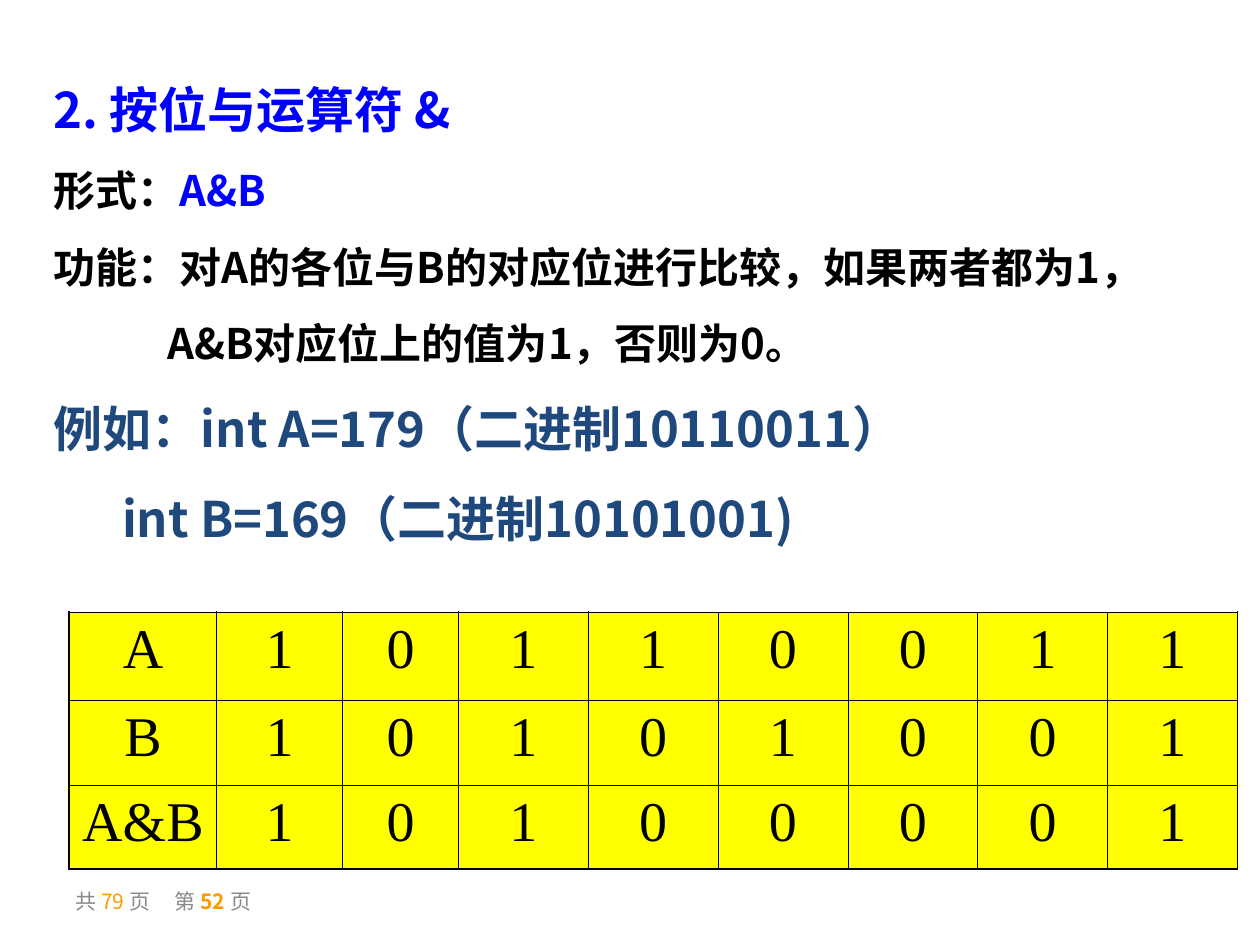
from lxml.etree import SubElement
from pptx import Presentation
from pptx.dml.color import RGBColor
from pptx.enum.text import MSO_ANCHOR, MSO_AUTO_SIZE, PP_ALIGN
from pptx.oxml.ns import qn
from pptx.util import Inches, Pt

COLORS = {
    "heading": "0000FF",
    "body": "000000",
    "example": "1F497D",
    "cell": "FFFF00",
    "border": "000000",
    "footer": "898989",
    "number": "FF9900",
}
JP, SC, TIMES = "Noto Sans CJK JP", "Noto Sans CJK SC", "Times New Roman"


def rgb(key):
    return RGBColor.from_string(COLORS[key])


def style_paragraph(paragraph, face, size, color, bold=False):
    font = paragraph.font
    font.name, font.size, font.bold = face, Pt(size), bold
    font.color.rgb = rgb(color)
    defaults = paragraph._p.pPr.find(qn("a:defRPr"))
    SubElement(defaults, qn("a:ea"), typeface=face)


def add_runs(paragraph, parts):
    for words, color in parts:
        run = paragraph.add_run()
        run.text = words
        if color:
            run.font.color.rgb = rgb(color)
        yield run


def add_explanation(slide, left, top, width, height):
    frame = slide.shapes.add_textbox(left, top, width, height).text_frame
    frame.word_wrap = True
    frame.auto_size = MSO_AUTO_SIZE.SHAPE_TO_FIT_TEXT
    lines = [
        ([("2. 按位与运算符 &", None)], JP, 28, "heading", 0, 0),
        ([("形式：", None), ("A&B", "heading")], JP, 24, "body", 15, 0),
        ([("功能：对A的各位与B的对应位进行比较，如果两者都为1，", None)], JP, 24, "body", 15, 0),
        ([("A&B对应位上的值为1，否则为0。", None)], JP, 24, "body", 15, 0.9),
        ([("例如：int A=179（二进制10110011）", None)], SC, 28, "example", 17.5, 0),
        ([("int B=169（二进制10101001)", None)], SC, 28, "example", 17.5, 0.54),
    ]
    for index, (parts, face, size, color, before, indent) in enumerate(lines):
        line = frame.add_paragraph() if index else frame.paragraphs[0]
        line.space_before = Pt(before)
        line._p.get_or_add_pPr().set("marL", str(Inches(indent)))
        style_paragraph(line, face, size, color, bold=True)
        list(add_runs(line, parts))


def set_borders(cell, widths):
    properties = cell._tc.get_or_add_tcPr()
    for side, width in widths.items():
        line = SubElement(properties, qn(f"a:ln{side}"), w=str(Pt(width)))
        fill = SubElement(line, qn("a:solidFill"))
        SubElement(fill, qn("a:srgbClr"), val=COLORS["border"])


def add_bit_table(slide, left, top, width, height):
    labels = ["A", "B", "A&B"]
    operands = [179, 169]
    values = operands + [operands[0] & operands[1]]
    rows = [[label, *f"{value:08b}"] for label, value in zip(labels, values)]
    column_widths = [1.17, 1, 0.92] + [1.03] * 6
    row_heights = [0.7, 0.67, 0.67]
    thin, thick = 0.45, 1.08
    thin_top_columns = range(5, 8)

    table = slide.shapes.add_table(
        len(rows), len(column_widths), left, top, width, height
    ).table
    for column, column_width in zip(table.columns, column_widths):
        column.width = Inches(column_width)
    for r, (bits, row_height) in enumerate(zip(rows, row_heights)):
        table.rows[r].height = Inches(row_height)
        for c, bit in enumerate(bits):
            cell = table.cell(r, c)
            set_borders(cell, {
                "L": thick if c == 0 else thin,
                "R": thin,
                "T": thick if r == 0 and c not in thin_top_columns else thin,
                "B": thick if r == len(rows) - 1 else thin,
            })
            cell.fill.solid()
            cell.fill.fore_color.rgb = rgb("cell")
            cell.text = bit
            paragraph = cell.text_frame.paragraphs[0]
            paragraph.alignment = PP_ALIGN.CENTER
            style_paragraph(paragraph, TIMES, 32, "body")


def add_page_count(slide, left, top, width, height):
    frame = slide.shapes.add_textbox(left, top, width, height).text_frame
    frame.word_wrap = True
    frame.vertical_anchor = MSO_ANCHOR.MIDDLE
    count = frame.paragraphs[0]
    stops = SubElement(count._p.get_or_add_pPr(), qn("a:tabLst"))
    SubElement(stops, qn("a:tab"), pos=str(Inches(0.79)), algn="l")
    style_paragraph(count, JP, 12, "footer")
    parts = [("共 ", None), ("79 ", "number"), ("页\t第 ", None),
             ("52 ", "number"), ("页", None)]
    runs = list(add_runs(count, parts))
    runs[3].font.bold = True


def main():
    deck = Presentation()
    deck.slide_width, deck.slide_height = Inches(10), Inches(7.5)
    slide = deck.slides.add_slide(deck.slide_layouts[6])
    add_page_count(slide, Inches(0.5), Inches(6.95), Inches(2.33), Inches(0.4))
    add_explanation(slide, Inches(0.33), Inches(0.58), Inches(9.25), Inches(3.81))
    add_bit_table(slide, Inches(0.55), Inches(4.86), Inches(9.27), Inches(2.04))
    deck.save("out.pptx")


if __name__ == "__main__":
    main()
